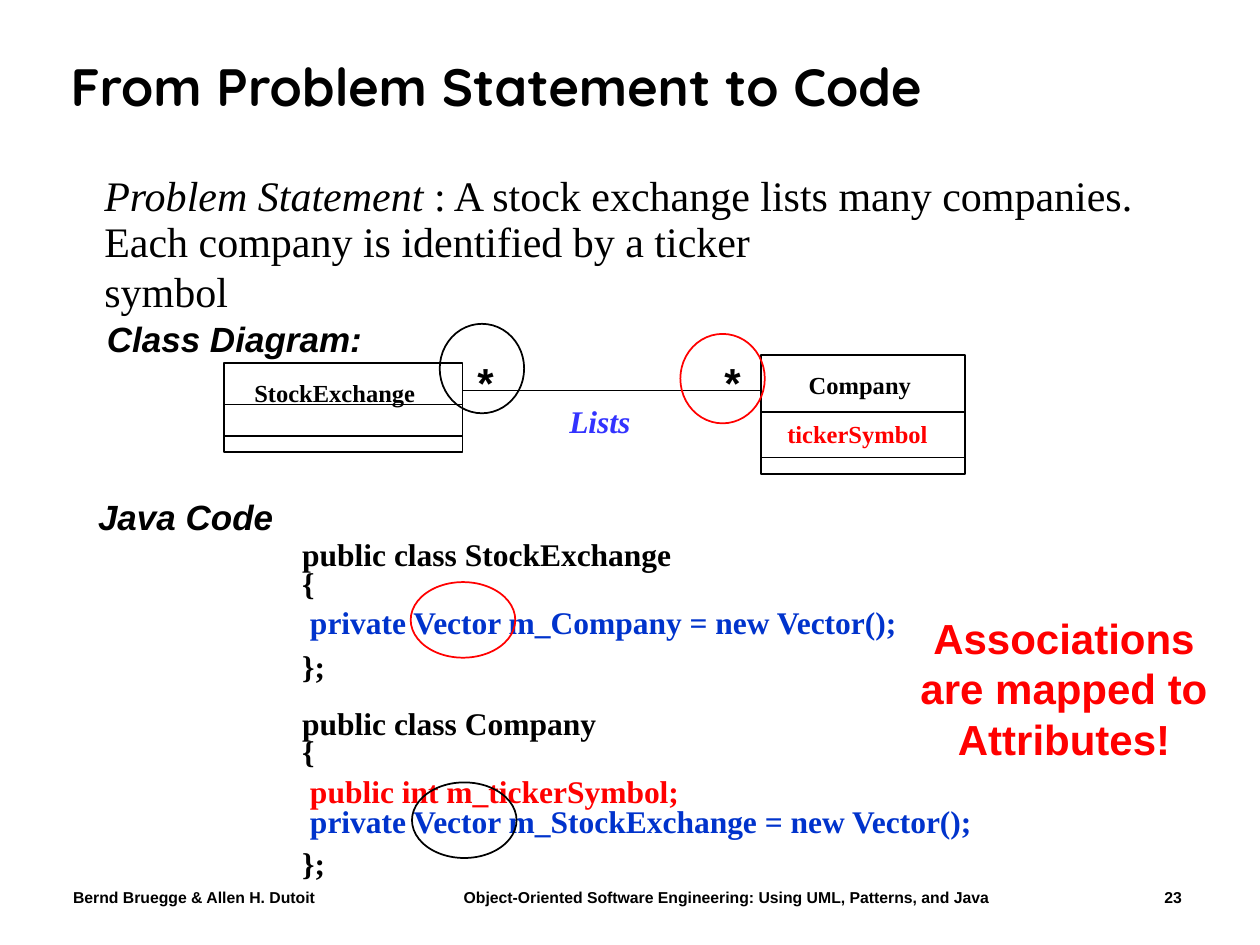
import pptx
import pptx.enum.shapes
import pptx.enum.text
import pptx.dml.color
import pptx.oxml.ns
import pptx.util
from pptx.util import Inches

COLORS = {"ink": "000000", "red": "FF0000", "code": "0033CC", "lists": "3333FF"}
SERIF, SANS, DISPLAY = "Times New Roman", "Arial", "Quicksand"
ALIGN = pptx.enum.text.PP_ALIGN
ANCHOR = pptx.enum.text.MSO_ANCHOR
SHAPE = pptx.enum.shapes.MSO_SHAPE


def rgb(color):
    """Return the named colour."""
    return pptx.dml.color.RGBColor.from_string(COLORS[color])


def add_run(paragraph, words, face, size, color="ink", bold=True, italic=False):
    """Append one formatted run."""
    run = paragraph.add_run()
    run.text = words
    run.font.name, run.font.size = face, pptx.util.Pt(size)
    run.font.bold, run.font.italic = bold, italic
    run.font.color.rgb = rgb(color)


def add_text(slide, box, lines, face, size, align=ALIGN.LEFT, spacing=1.0):
    """Add a text box; each line is a list of (words, run options)."""
    frame = slide.shapes.add_textbox(*map(Inches, box)).text_frame
    frame.word_wrap = True
    for index, runs in enumerate(lines):
        paragraph = frame.add_paragraph() if index else frame.paragraphs[0]
        paragraph.alignment, paragraph.line_spacing = align, spacing
        for words, options in runs:
            add_run(paragraph, words, face, size, **options)
    return frame


def add_outline(slide, kind, box, color="ink"):
    """Add an unfilled one-point outline."""
    outline = slide.shapes.add_shape(kind, *map(Inches, box))
    outline.shadow.inherit = False
    outline.fill.background()
    outline.line.color.rgb = rgb(color)
    outline.line.width = pptx.util.Pt(1)


def add_rule(slide, left, right, y):
    """Add a horizontal line."""
    rule = slide.shapes.add_connector(
        pptx.enum.shapes.MSO_CONNECTOR.STRAIGHT, *map(Inches, (left, y, right, y)))
    rule.line.color.rgb = rgb("ink")
    rule.line.width = pptx.util.Pt(1)
    properties = rule._element.spPr
    properties.append(properties.makeelement(pptx.oxml.ns.qn("a:effectLst"), {}))


def place_title(slide, box):
    """Move and fill the title placeholder."""
    title = slide.shapes.title
    title.left, title.top, title.width, title.height = map(Inches, box)
    title.text_frame.vertical_anchor = ANCHOR.MIDDLE
    paragraph = title.text_frame.paragraphs[0]
    paragraph.alignment, paragraph.line_spacing = ALIGN.LEFT, 0.9
    add_run(paragraph, "From Problem Statement to Code", DISPLAY, 30)


def add_statement(slide, box):
    """Write the problem statement in two boxes."""
    left, top, width, height = box
    plain = {"bold": False}
    first = [("Problem Statement", {"bold": False, "italic": True}),
             (" : A stock exchange lists many companies.", plain)]
    second = [("Each company is identified by a ticker symbol", plain)]
    add_text(slide, (left, top, width, 0.5), [first], SERIF, 24)
    add_text(slide, (left, top + 0.36, 6.37, height - 0.36), [second], SERIF, 24)


def add_class(slide, box, dividers, labels):
    """Draw a class with its compartments and (offset, width, words, colour) labels."""
    left, top, width, _ = box
    add_outline(slide, SHAPE.RECTANGLE, box)
    for offset in dividers:
        add_rule(slide, left, left + width, top + offset)
    for dx, dy, label_width, words, color in labels:
        add_text(slide, (left + dx, top + dy, label_width, 0.33),
                 [[(words, {"color": color})]], SERIF, 14)


def add_diagram(slide, box):
    """Draw the two classes and their association."""
    left, top, width, height = box
    heading = [("Class Diagram:", {"italic": True})]
    add_text(slide, (0.75, 2.47, 2.4, 0.43), [heading], SANS, 20)
    exchange_width, company_width = 1.89, 1.62
    company_left = left + width - company_width
    add_class(slide, (left, top + 0.06, exchange_width, 0.71), (0.33, 0.58),
              [(0.14, 0.07, 1.6, "StockExchange", "ink")])
    add_class(slide, (company_left, top, company_width, height), (0.45, 0.81),
              [(0.28, 0.07, 1.1, "Company", "ink"),
               (0.11, 0.46, 1.4, "tickerSymbol", "red")])
    add_rule(slide, left + exchange_width, company_left, top + 0.28)
    add_text(slide, (4.42, 3.14, 0.8, 0.4),
             [[("Lists", {"color": "lists", "italic": True})]], SERIF, 18)
    for star_left, ring_left, ring_top, color in (
            (3.69, 3.49, 2.57, "ink"), (5.65, 5.4, 2.65, "red")):
        add_text(slide, (star_left, top - 0.04, 0.4, 0.5), [[("*", {})]], SANS, 24)
        add_outline(slide, SHAPE.OVAL, (ring_left, ring_top, 0.67, 0.71), color)


def add_code(slide, box):
    """Write the Java code line by line and ring both vectors."""
    left, top = box[:2]
    heading = [("Java Code", {"italic": True})]
    add_text(slide, (0.68, 3.82, 1.7, 0.5), [heading], SANS, 20, spacing=1.2)
    code_lines = (
        (0, 3.25, "public class StockExchange", "ink"),
        (0.23, 0.4, "{", "ink"),
        (0.54, 5.1, " private Vector m_Company = new Vector();", "code"),
        (0.89, 0.5, "};", "ink"),
        (1.34, 2.65, "public class Company", "ink"),
        (1.56, 0.4, "{", "ink"),
        (1.88, 3.3, " public int m_tickerSymbol;", "red"),
        (2.12, 5.7, " private Vector m_StockExchange = new Vector();", "code"),
        (2.45, 0.5, "};", "ink"),
    )
    for offset, width, words, color in code_lines:
        add_text(slide, (left, top + offset, width, 0.46),
                 [[(words, {"color": color})]], SERIF, 18, spacing=1.2)
    for dx, dy, color in ((0.96, 0.48, "red"), (0.97, 2.07, "ink")):
        add_outline(slide, SHAPE.OVAL, (left + dx, top + dy, 0.83, 0.6), color)


def add_conclusion(slide, box):
    """Write the red takeaway."""
    lines = [[(words, {"color": "red"})]
             for words in ("Associations", "are mapped to", "Attributes!")]
    frame = add_text(slide, box, lines, SANS, 24, align=ALIGN.CENTER)
    frame.vertical_anchor = ANCHOR.MIDDLE


def add_footer(slide, box):
    """Write authors, book title and page number on tab stops."""
    words = ("Bernd Bruegge & Allen H. Dutoit\tObject-Oriented Software Engineering: "
             "Using UML, Patterns, and Java\t23")
    frame = add_text(slide, box, [[(words, {})]], SANS, 9)
    frame.margin_left = Inches(0.19)
    properties = frame.paragraphs[0]._p.get_or_add_pPr()
    stops = properties.makeelement(pptx.oxml.ns.qn("a:tabLst"), {})
    for position, kind in ((3.1, "l"), (8.8, "r")):
        stops.append(stops.makeelement(
            pptx.oxml.ns.qn("a:tab"), {"pos": str(int(Inches(position))), "algn": kind}))
    properties.append(stops)


def main():
    """Build and save the slide."""
    deck = pptx.Presentation()
    deck.slide_width, deck.slide_height = Inches(10), Inches(7.5)
    slide = deck.slides.add_slide(deck.slide_layouts.get_by_name("Title Only"))
    add_footer(slide, (0.39, 7, 9.17, 0.25))
    place_title(slide, (0.46, 0.24, 8.92, 0.94))
    add_statement(slide, (0.73, 1.3, 8.6, 1.26))
    add_diagram(slide, (1.78, 2.82, 5.88, 0.94))
    add_code(slide, (2.3, 4.14, 5.58, 2.91))
    add_conclusion(slide, (7.16, 4.81, 2.57, 1.3))
    deck.save("out.pptx")


if __name__ == "__main__":
    main()
